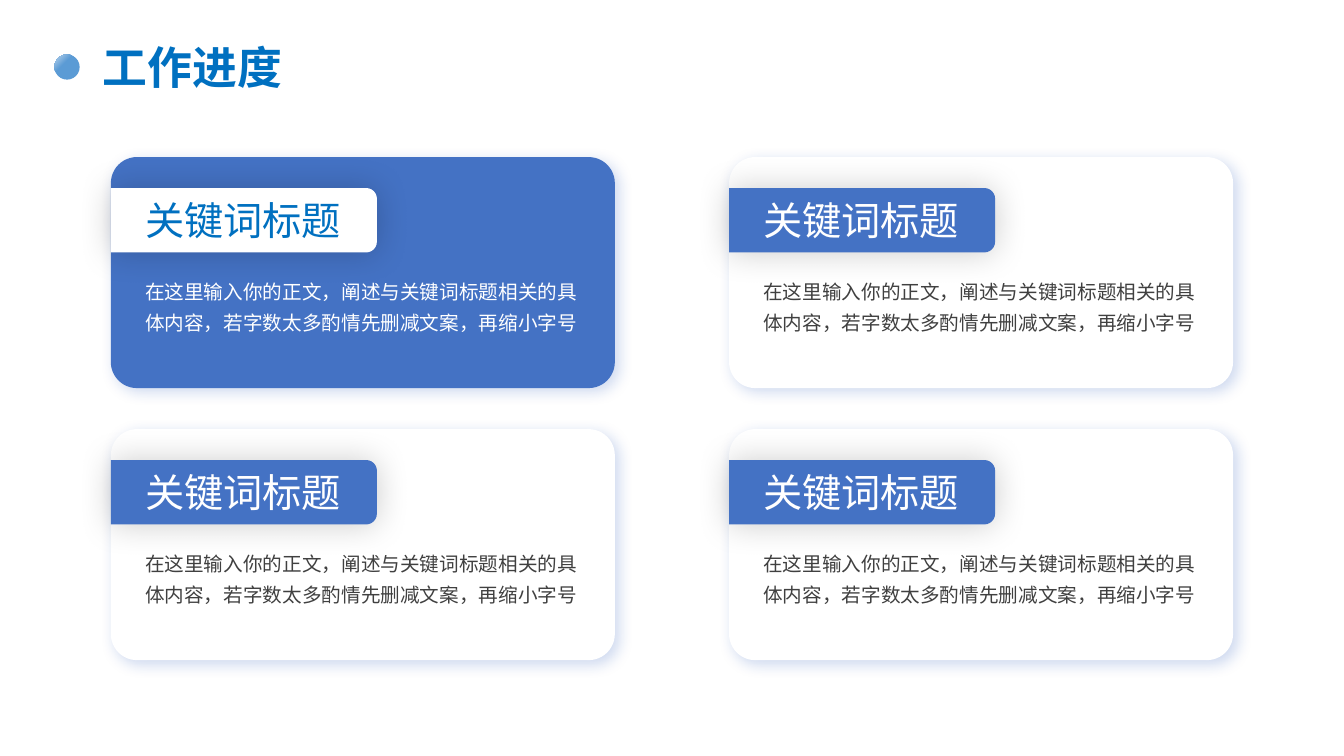
import pptx
import pptx.util
import pptx.dml.color
import pptx.enum.shapes
import pptx.enum.text
import pptx.oxml
import pptx.oxml.ns

Pt = pptx.util.Pt
SHAPE = pptx.enum.shapes.MSO_SHAPE
TEXT = pptx.enum.text

FONT = "Noto Sans CJK SC"
BLUE, WHITE, DEEP, GREY = "4472C4", "FFFFFF", "0070C0", "404040"
TITLE = "工作进度"
HEAD = "关键词标题"
BODY = "在这里输入你的正文，阐述与关键词标题相关的具体内容，若字数太多酌情先删减文案，再缩小字号"

# heading, body, card fill, banner fill, heading colour, body colour
CARDS = [
    (HEAD, BODY, BLUE, WHITE, DEEP, WHITE),
    (HEAD, BODY, WHITE, BLUE, WHITE, GREY),
    (HEAD, BODY, WHITE, BLUE, WHITE, GREY),
    (HEAD, BODY, WHITE, BLUE, WHITE, GREY),
]
STOPS = [(0, "BDD7EE"), (38, "5B9BD5"), (85, "5B9BD5")]

LEFT, TOP = 79.2, 112.2
CARD_W, CARD_H = 360, 165
STEP_X, STEP_Y = 441.6, 194.3
BAND_W, BAND_H, BAND_DY = 190, 46, 22.1
INSET = 24.4

NS = pptx.oxml.ns.nsdecls("a")


def rgb(code):
    return pptx.dml.color.RGBColor.from_string(code)


def add_shape(kind, x, y, w, h, fill):
    shape = slide.shapes.add_shape(kind, Pt(x), Pt(y), Pt(w), Pt(h))
    shape.shadow.inherit = False
    shape.fill.solid()
    shape.fill.fore_color.rgb = rgb(fill)
    shape.line.fill.background()
    return shape


def cast(shape, color, blur, dist, angle):
    """Give the shape an outer shadow at 20% opacity; lengths in points."""
    effects = shape._element.spPr.find(pptx.oxml.ns.qn("a:effectLst"))
    effects.append(pptx.oxml.parse_xml(
        f'<a:outerShdw {NS} blurRad="{Pt(blur)}" dist="{Pt(dist)}" '
        f'dir="{angle * 60000}" algn="ctr" rotWithShape="0">'
        f'<a:srgbClr val="{color}"><a:alpha val="20000"/></a:srgbClr>'
        '</a:outerShdw>'))


def write(frame, text, size, color, spacing=None, bold=False):
    frame.word_wrap = True
    frame.auto_size = TEXT.MSO_AUTO_SIZE.SHAPE_TO_FIT_TEXT
    para = frame.paragraphs[0]
    para.alignment = TEXT.PP_ALIGN.LEFT
    para.line_spacing = spacing
    run = para.add_run()
    run.text = text
    run.font.size = Pt(size)
    run.font.bold = bold
    run.font.color.rgb = rgb(color)
    run.font.name = FONT
    run.font._element.append(
        pptx.oxml.parse_xml(f'<a:ea {NS} typeface="{FONT}"/>'))


def add_text(x, y, w, h, *style):
    frame = slide.shapes.add_textbox(Pt(x), Pt(y), Pt(w), Pt(h)).text_frame
    frame.margin_left = frame.margin_right = 0
    frame.margin_top = frame.margin_bottom = 0
    write(frame, *style)


def add_dot():
    """Draw the title's dot, lit from its top left corner."""
    dot = add_shape(SHAPE.OVAL, 38.9, 38.9, 18, 18, STOPS[-1][1])
    stops = "".join(
        f'<a:gs pos="{pos * 1000}"><a:srgbClr val="{color}"/></a:gs>'
        for pos, color in STOPS)
    props = dot._element.spPr
    props.replace(props.find(pptx.oxml.ns.qn("a:solidFill")), pptx.oxml.parse_xml(
        f'<a:gradFill {NS} rotWithShape="1"><a:gsLst>{stops}</a:gsLst>'
        '<a:path path="circle"><a:fillToRect r="100000" b="100000"/></a:path>'
        '</a:gradFill>'))


def add_card(x, y, head, body, fill, band_fill, head_color, body_color):
    card = add_shape(SHAPE.ROUNDED_RECTANGLE, x, y, CARD_W, CARD_H, fill)
    card.adjustments[0] = 0.113
    cast(card, "1045B3", 10, 4, 45)

    # The band is a tall shape turned a quarter about its centre.
    shift = (BAND_W - BAND_H) / 2
    band = add_shape(SHAPE.ROUND_2_SAME_RECTANGLE, x + shift,
                     y + BAND_DY - shift, BAND_H, BAND_W, band_fill)
    band.rotation = 90
    cast(band, "000000", 24, 0, 0)

    add_text(x + INSET, y + 28.2, 141.2, 33.9, head, 28, head_color)
    add_text(x + INSET, y + 82.9, 311, 42.5, body, 14, body_color, 1.3)


deck = pptx.Presentation()
deck.slide_width, deck.slide_height = Pt(960), Pt(540)
slide = deck.slides.add_slide(deck.slide_layouts[5])

add_dot()
title = slide.shapes.title
title.left, title.top, title.width, title.height = Pt(66.2), Pt(28.8), Pt(157.7), Pt(42.5)
title.text_frame.vertical_anchor = TEXT.MSO_ANCHOR.MIDDLE
write(title.text_frame, TITLE, 32, DEEP, 0.9, True)

for index, card in enumerate(CARDS):
    row, col = divmod(index, 2)
    add_card(LEFT + col * STEP_X, TOP + row * STEP_Y, *card)

deck.save("out.pptx")
